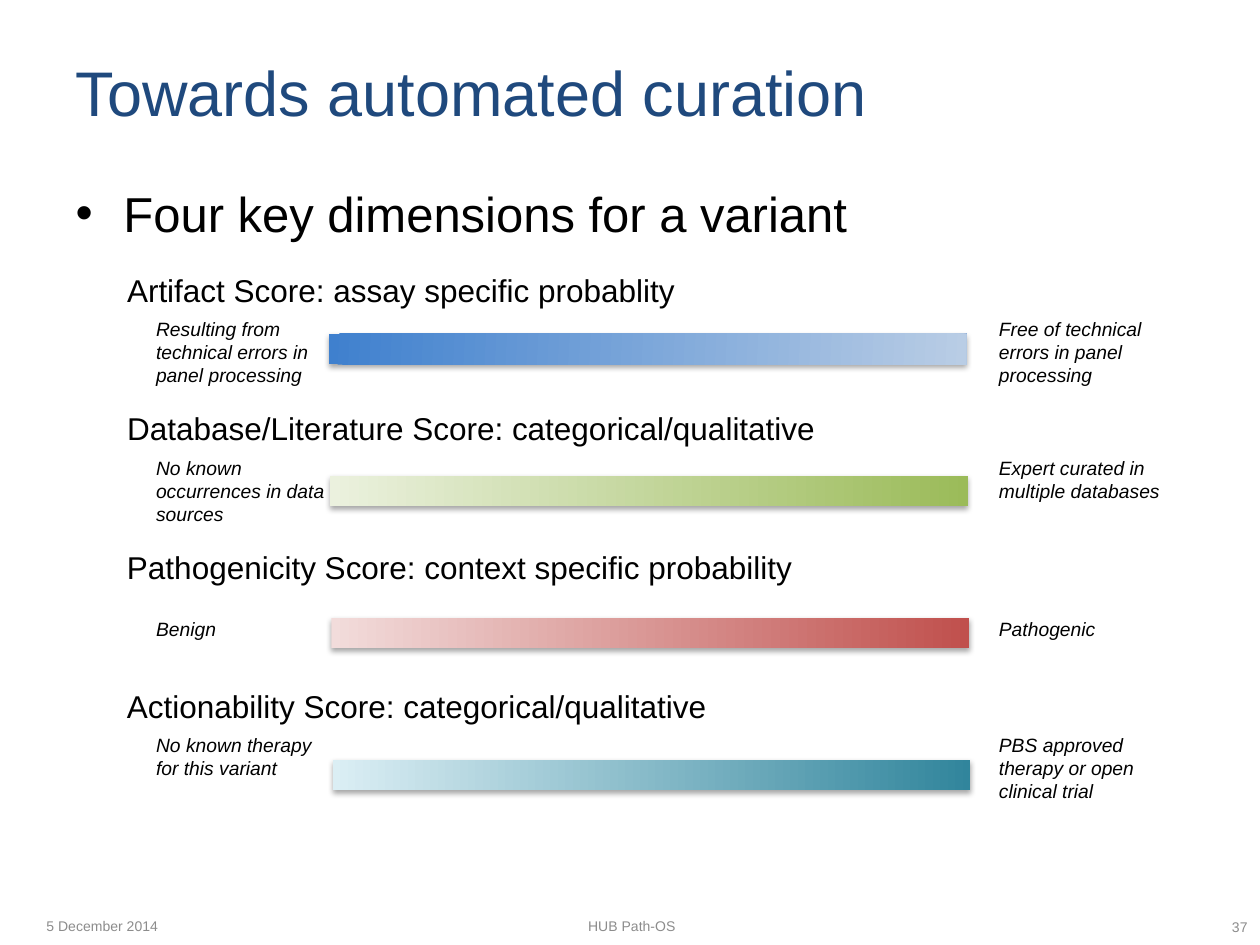
from lxml.etree import SubElement
from pptx import Presentation
from pptx.dml.color import RGBColor
from pptx.enum.shapes import MSO_SHAPE as Shape
from pptx.enum.text import MSO_ANCHOR as Anchor, MSO_AUTO_SIZE as AutoSize, PP_ALIGN as Align
from pptx.oxml.ns import qn
from pptx.util import Inches, Pt

FONT = "Arial"
COLORS = {
    "title": "1F497D",
    "text": "000000",
    "footer": "8C8C8C",
    "shadow": "000000",
}

# Grid in inches: one row per score
ROW_TOP, ROW_STEP = 2.1, 1.1
HEADING_LEFT, LOW_LEFT, HIGH_LEFT = 0.91, 1.14, 7.83
LABEL_WIDTH = 1.57
BAR_LEFT, BAR_TOP, BAR_SHIFT, BAR_STEP = 2.61, 2.65, 0.01, 1.127
BAR_WIDTH, BAR_HEIGHT = 5.06, 0.24

# heading, heading width, low label, its width, high label, label offset,
# start colour, end colour, gradient angle
SCORES = [
    ("Artifact Score: assay specific probablity", 4.61,
     "Resulting from technical errors in panel processing", LABEL_WIDTH,
     "Free of technical errors in panel processing", 0.37,
     "3F80CE", "B9CDE5", 357),
    ("Database/Literature Score: categorical/qualitative", 5.72,
     "No known occurrences in data sources", 1.73,
     "Expert curated in multiple databases", 0.37,
     "EBF1DE", "9BBB59", 0),
    ("Pathogenicity Score: context specific probability", 5.53,
     "Benign", LABEL_WIDTH,
     "Pathogenic", 0.55,
     "F2DCDB", "C0504D", 0),
    ("Actionability Score: categorical/qualitative", 4.86,
     "No known therapy for this variant", LABEL_WIDTH,
     "PBS approved therapy or open clinical trial", 0.37,
     "DBEEF4", "31859C", 0),
]

FOOTERS = [
    ("5 December 2014", (0.27, 7.19, 2.33, 0.31), Align.LEFT),
    ("HUB Path-OS", (3.43, 7.19, 3.17, 0.31), Align.CENTER),
    ("37", (7.67, 7.22, 2.33, 0.28), Align.RIGHT),
]


def style(para, size, color, align=Align.LEFT, italic=False):
    para.alignment = align
    font = para.font
    font.name, font.size, font.italic = FONT, Pt(size), italic
    font.color.rgb = RGBColor.from_string(COLORS[color])


def fill_placeholder(holder, text, area, anchor):
    holder.left, holder.top, holder.width, holder.height = map(Inches, area)
    frame = holder.text_frame
    frame.text = text
    frame.auto_size = AutoSize.NONE
    frame.vertical_anchor = anchor
    return frame.paragraphs[0]


def add_text(page, text, area, size, color="text", align=Align.LEFT,
             italic=False, wrap=True, anchor=Anchor.TOP):
    frame = page.shapes.add_textbox(*map(Inches, area)).text_frame
    frame.word_wrap = wrap
    frame.vertical_anchor = anchor
    frame.text = text
    style(frame.paragraphs[0], size, color, align, italic)


def add_bullet(para, indent):
    props = para._p.get_or_add_pPr()
    props.set("marL", str(Inches(indent)))
    props.set("indent", str(-Inches(indent)))
    SubElement(props, qn("a:buFont"), typeface=FONT)
    SubElement(props, qn("a:buChar"), char="•")


def add_shadow(shape):
    shape.shadow.inherit = False
    effects = shape._element.spPr.find(qn("a:effectLst"))
    shadow = SubElement(effects, qn("a:outerShdw"), blurRad=str(Pt(3.1)),
                        dist=str(Pt(1.8)), dir="5400000", rotWithShape="0")
    color = SubElement(shadow, qn("a:srgbClr"), val=COLORS["shadow"])
    SubElement(color, qn("a:alpha"), val="35000")


def add_bar(page, row, start, end, angle):
    bar = page.shapes.add_shape(
        Shape.RECTANGLE, Inches(BAR_LEFT + row * BAR_SHIFT),
        Inches(BAR_TOP + row * BAR_STEP), Inches(BAR_WIDTH), Inches(BAR_HEIGHT))
    bar.line.fill.background()
    bar.fill.gradient()
    bar.fill.gradient_angle = angle
    for stop, position, color in zip(bar.fill.gradient_stops, (0, 1), (start, end)):
        stop.position = position
        stop.color.rgb = RGBColor.from_string(color)
    add_shadow(bar)


def add_score(page, row, score):
    heading, width, low, low_width, high, offset, start, end, angle = score
    top = ROW_TOP + row * ROW_STEP
    add_text(page, heading, (HEADING_LEFT, top, width, 0.4), 18, wrap=False)
    add_bar(page, row, start, end, angle)
    for text, left, label_width in ((low, LOW_LEFT, low_width),
                                    (high, HIGH_LEFT, LABEL_WIDTH)):
        add_text(page, text, (left, top + offset, label_width, 0.66), 11, italic=True)


def main():
    deck = Presentation()
    deck.slide_width, deck.slide_height = Inches(10), Inches(7.5)
    page = deck.slides.add_slide(deck.slide_layouts[1])

    # Title and lead bullet
    title = fill_placeholder(page.shapes.title, "Towards automated curation",
                             (0.5, 0.3, 9, 0.85), Anchor.MIDDLE)
    style(title, 36, "title")
    lead = fill_placeholder(page.placeholders[1], "Four key dimensions for a variant",
                            (0.5, 1.31, 9, 1.42), Anchor.TOP)
    add_bullet(lead, 0.38)
    lead.line_spacing = 1.2
    lead.space_before = Pt(0)
    style(lead, 28, "text")

    # Score scales
    for row, score in enumerate(SCORES):
        add_score(page, row, score)

    # Footer line
    for text, area, align in FOOTERS:
        add_text(page, text, area, 8, "footer", align, anchor=Anchor.MIDDLE)

    deck.save("out.pptx")


if __name__ == "__main__":
    main()
